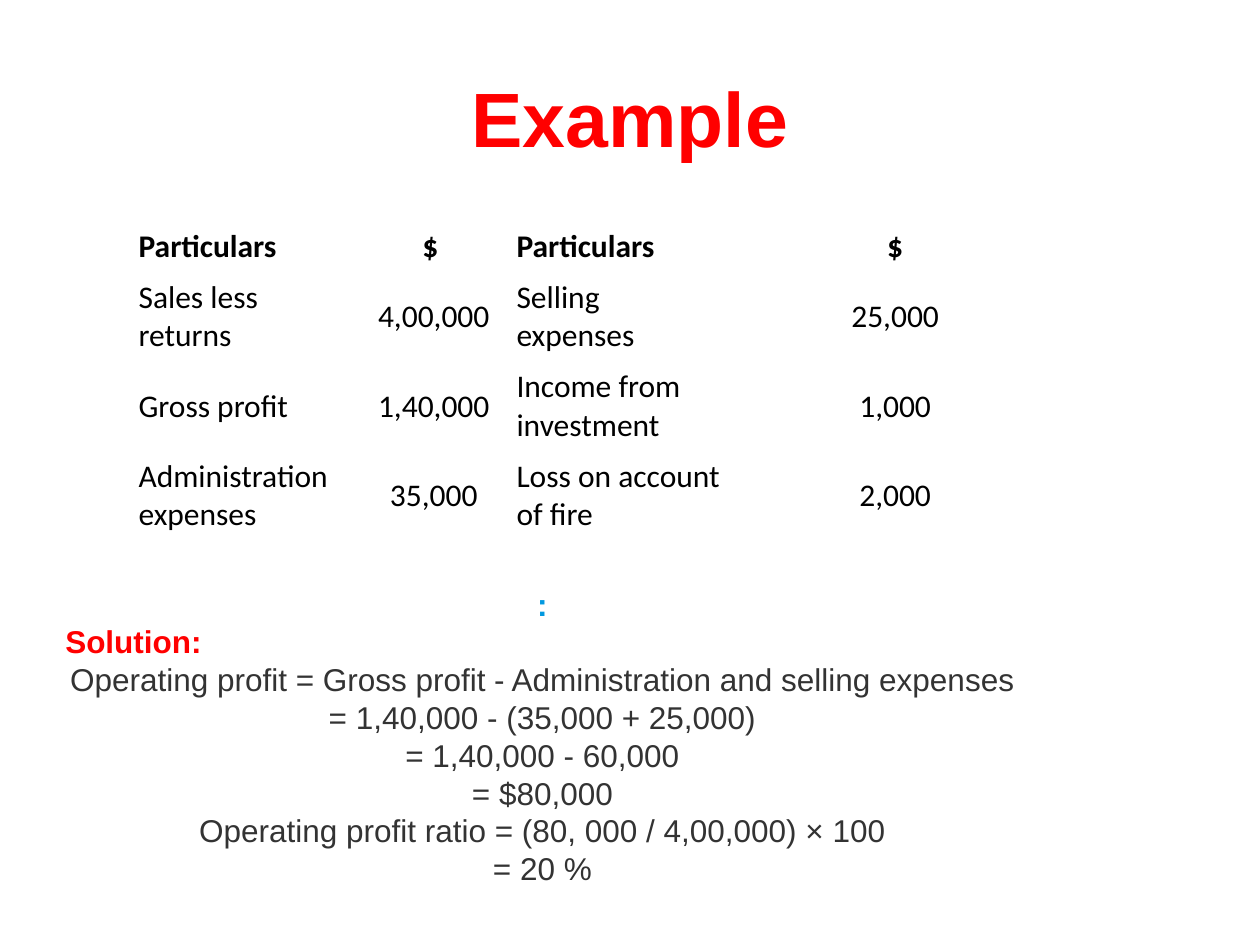
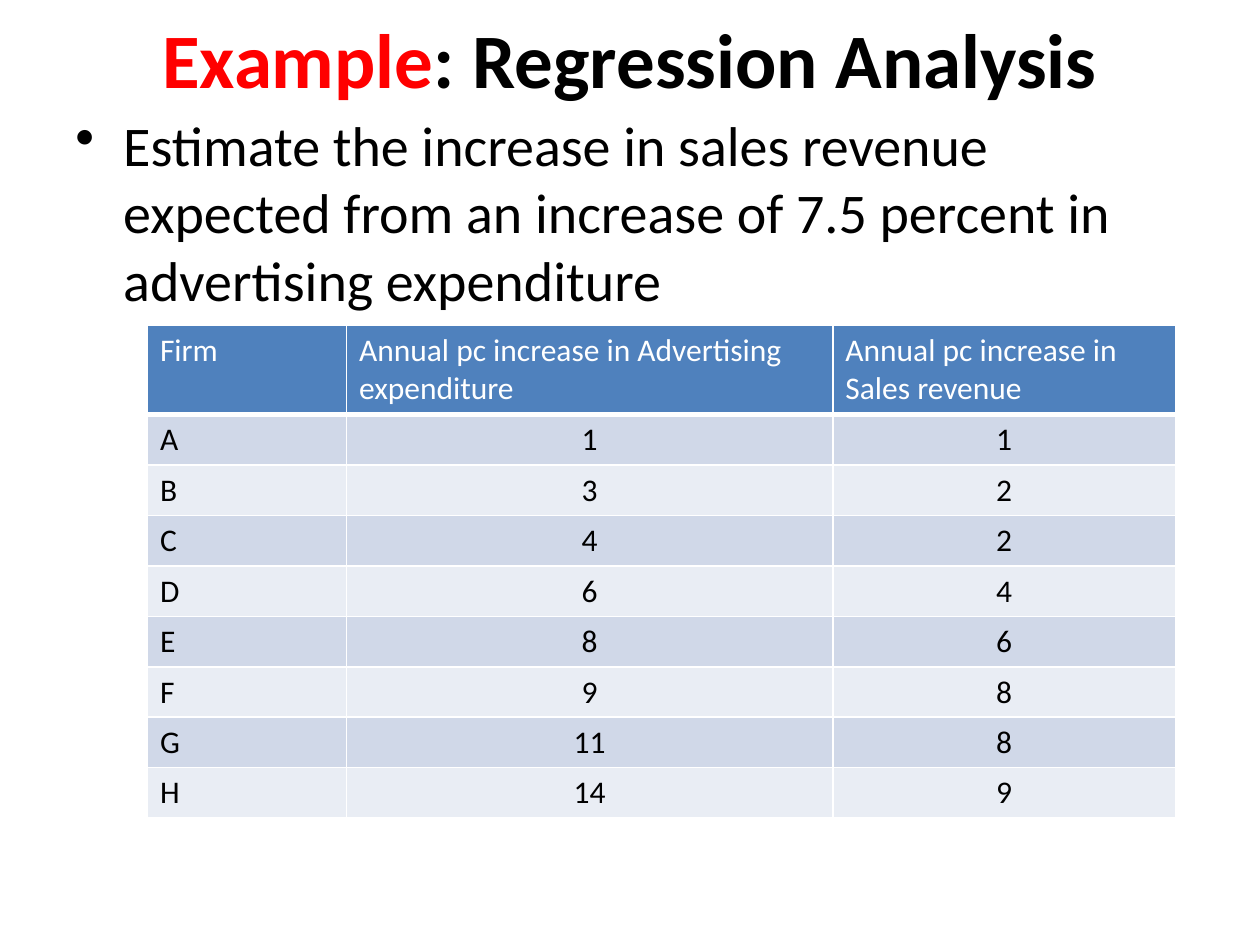
from dataclasses import dataclass
from typing import Optional

import pptx
import pptx.dml.color
import pptx.enum.text
import pptx.oxml
import pptx.oxml.ns
import pptx.util
from pptx.util import Inches

ALIGN = pptx.enum.text.PP_ALIGN
ANCHOR = pptx.enum.text.MSO_ANCHOR


@dataclass(frozen=True)
class Theme:
    red: str = "FF0000"
    black: str = "000000"
    white: str = "FFFFFF"
    grey: str = "333333"
    sky: str = "0299E0"
    header: str = "4F81BD"
    bands: tuple[str, str] = ("D0D8E8", "E9EDF4")
    title_size: int = 44
    body_size: int = 32
    text_size: int = 18
    heading_font: str = "Arial"
    body_font: str = "Calibri"


THEME = Theme()


@dataclass(frozen=True)
class Box:
    left: float
    top: float
    width: float
    height: float

    def lengths(self) -> tuple:
        return tuple(Inches(v) for v in (self.left, self.top, self.width, self.height))


@dataclass(frozen=True)
class Style:
    font: str
    size: int
    color: str
    bold: bool = False
    align: ALIGN = ALIGN.LEFT


@dataclass(frozen=True)
class Grid:
    box: Box
    columns: tuple[float, ...]
    row_heights: tuple[float, ...]
    rows: tuple[tuple[str, ...], ...]
    centred_columns: tuple[int, ...]
    anchor: ANCHOR
    header_bold: bool = False
    header_centred: bool = False
    header_color: str = THEME.black
    header_fill: Optional[str] = None
    bands: tuple[str, ...] = ()


PARTICULARS = Grid(
    box=Box(1, 1.75, 7.38, 2.54),
    columns=(1.83, 1.17, 1.83, 2.55),
    row_heights=(0.41, 0.71, 0.71, 0.71),
    rows=(
        ("Particulars", "$", "Particulars", "$"),
        ("Sales less returns", " 4,00,000", "Selling expenses", "25,000"),
        ("Gross profit", " 1,40,000", "Income from investment", "1,000"),
        ("Administration expenses", " 35,000", "Loss on account of fire", "2,000"),
    ),
    centred_columns=(1, 3),
    anchor=ANCHOR.MIDDLE,
    header_bold=True,
    header_centred=True,
)

FIRMS = Grid(
    box=Box(1.17, 2.58, 8.16, 3.91),
    columns=(1.58, 3.86, 2.72),
    row_heights=(0.71,) + (0.4,) * 8,
    rows=(
        ("Firm", "Annual pc increase in Advertising expenditure",
         "Annual pc increase in Sales revenue"),
        ("A", "1", "1"),
        ("B", "3", "2"),
        ("C", "4", "2"),
        ("D", "6", "4"),
        ("E", "8", "6"),
        ("F", "9", "8"),
        ("G", "11", "8"),
        ("H", "14", "9"),
    ),
    centred_columns=(1, 2),
    anchor=ANCHOR.TOP,
    header_color=THEME.white,
    header_fill=THEME.header,
    bands=THEME.bands,
)

WORKING = (
    "Operating profit = Gross profit - Administration and selling expenses",
    "= 1,40,000 - (35,000 + 25,000)",
    "= 1,40,000 - 60,000",
    "= $80,000",
    "Operating profit ratio = (80, 000 / 4,00,000) × 100",
    "= 20 %",
)


def rgb(color: str) -> pptx.dml.color.RGBColor:
    return pptx.dml.color.RGBColor.from_string(color)


def apply_style(paragraph, style: Style) -> None:
    paragraph.alignment = style.align
    font = paragraph.font
    font.name, font.size, font.bold = style.font, pptx.util.Pt(style.size), style.bold
    font.color.rgb = rgb(style.color)


def add_text_frame(slide, box: Box, anchor: ANCHOR, wrap: bool = True):
    frame = slide.shapes.add_textbox(*box.lengths()).text_frame
    frame.word_wrap = wrap
    frame.vertical_anchor = anchor
    return frame


def add_title(slide, box: Box, font: str, rest: str = "") -> None:
    """Write the red word Example, followed by the rest in black."""
    paragraph = add_text_frame(slide, box, ANCHOR.MIDDLE).paragraphs[0]
    apply_style(paragraph, Style(font, THEME.title_size, THEME.red, True, ALIGN.CENTER))
    paragraph.add_run().text = "Example"
    if rest:
        topic = paragraph.add_run()
        topic.text = rest
        topic.font.color.rgb = rgb(THEME.black)


def add_bullet(paragraph, indent: float) -> None:
    properties = paragraph._p.get_or_add_pPr()
    properties.set("marL", str(Inches(indent)))
    properties.set("indent", str(-Inches(indent)))
    pptx.oxml.ns.qn("a:buChar")
    bullet = pptx.oxml.parse_xml(f'<a:buChar {pptx.oxml.ns.nsdecls("a")} char="•"/>')
    properties.append(bullet)


def add_borders(cell, color: str, bottom_width: int) -> None:
    properties = cell._tc.get_or_add_tcPr()
    for side, points in (("L", 1), ("R", 1), ("T", 1), ("B", bottom_width)):
        properties.append(pptx.oxml.parse_xml(
            f'<a:ln{side} {pptx.oxml.ns.nsdecls("a")} w="{pptx.util.Pt(points)}">'
            f'<a:solidFill><a:srgbClr val="{color}"/></a:solidFill></a:ln{side}>'))


def fill_cell(cell, color: Optional[str]) -> None:
    if color is None:
        cell.fill.background()
    else:
        cell.fill.solid()
        cell.fill.fore_color.rgb = rgb(color)


def add_grid(slide, grid: Grid) -> None:
    table = slide.shapes.add_table(
        len(grid.rows), len(grid.columns), *grid.box.lengths()).table
    table.horz_banding = False
    for column, width in zip(table.columns, grid.columns):
        column.width = Inches(width)
    for row, height in zip(table.rows, grid.row_heights):
        row.height = Inches(height)
    for r, texts in enumerate(grid.rows):
        is_header = r == 0
        band = grid.bands[(r - 1) % len(grid.bands)] if grid.bands else None
        for c, text in enumerate(texts):
            cell = table.cell(r, c)
            cell.text = text
            cell.vertical_anchor = grid.anchor
            centred = c in grid.centred_columns and (not is_header or grid.header_centred)
            apply_style(cell.text_frame.paragraphs[0], Style(
                THEME.body_font, THEME.text_size,
                grid.header_color if is_header else THEME.black,
                is_header and grid.header_bold,
                ALIGN.CENTER if centred else ALIGN.LEFT))
            if grid.bands:
                add_borders(cell, THEME.white, 3 if is_header else 1)
            fill_cell(cell, grid.header_fill if is_header else band)


def add_solution(slide) -> None:
    font, size = THEME.heading_font, THEME.text_size
    step = Style(font, size, THEME.grey, align=ALIGN.CENTER)
    lines = [
        (":", Style(font, size, THEME.sky, True, ALIGN.CENTER)),
        ("Solution:", Style(font, size, THEME.red, True)),
        *((text, step) for text in WORKING),
    ]
    frame = add_text_frame(slide, Box(0.42, 4.58, 7.77, 2.52), ANCHOR.MIDDLE, wrap=False)
    frame.auto_size = pptx.enum.text.MSO_AUTO_SIZE.SHAPE_TO_FIT_TEXT
    for i, (text, style) in enumerate(lines):
        paragraph = frame.add_paragraph() if i else frame.paragraphs[0]
        paragraph.text = text
        apply_style(paragraph, style)


def build_operating_ratio(slide) -> None:
    add_title(slide, Box(0.5, 0.3, 9, 1.25), THEME.heading_font)
    add_grid(slide, PARTICULARS)
    add_solution(slide)


def build_regression(slide) -> None:
    add_title(slide, Box(0.5, 0.04, 9, 0.83), THEME.body_font, ": Regression Analysis")
    task = add_text_frame(slide, Box(0.5, 0.83, 9, 5.87), ANCHOR.TOP).paragraphs[0]
    task.text = ("Estimate the increase in sales revenue expected from an increase "
                 "of 7.5 percent in advertising expenditure")
    add_bullet(task, 0.38)
    apply_style(task, Style(THEME.body_font, THEME.body_size, THEME.black))
    add_grid(slide, FIRMS)


def main() -> None:
    deck = pptx.Presentation()
    deck.slide_width, deck.slide_height = Inches(10), Inches(7.5)
    blank = deck.slide_layouts[6]
    for build in (build_operating_ratio, build_regression):
        build(deck.slides.add_slide(blank))
    deck.save("out.pptx")


if __name__ == "__main__":
    main()
